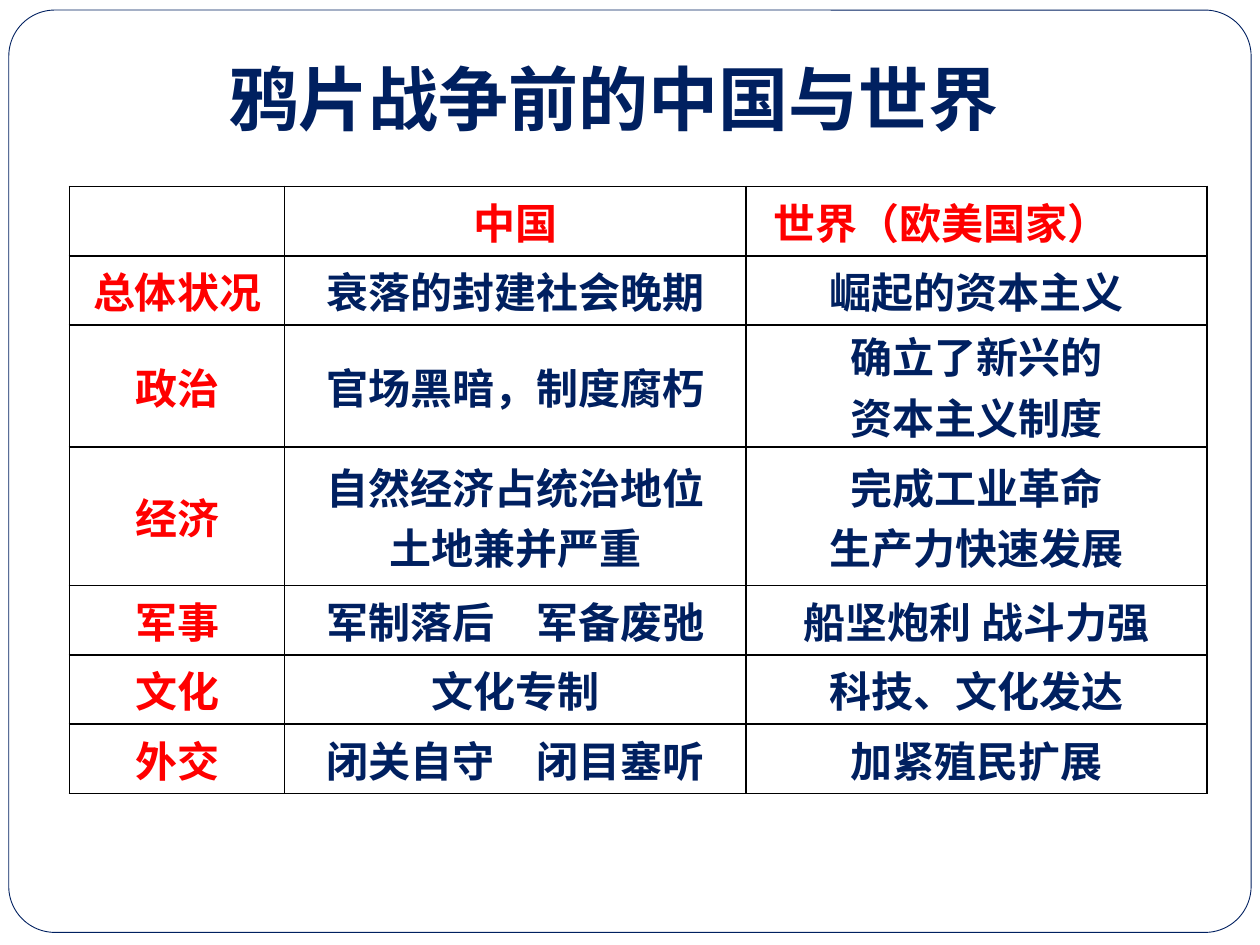
from lxml import etree
from pptx import Presentation
from pptx import util as u
from pptx.dml.color import RGBColor
from pptx.enum import lang, shapes, text
from pptx.oxml.ns import qn

NAVY = RGBColor(0x00, 0x20, 0x60)
RED = RGBColor(0xFF, 0x00, 0x00)
WHITE = RGBColor(0xFF, 0xFF, 0xFF)
BLACK = RGBColor(0x00, 0x00, 0x00)

WIDTH, HEIGHT = 10, 7.5
TITLE = "鸦片战争前的中国与世界"
WORLD_HEADER = "世界（欧美国家）"
COLUMNS = [1.71, 3.66, 3.66]
ROW = 0.55
ROW_SPANS = [1, 1, 1, 2, 1, 1, 1]
COMPARISON = [
    ["", "中国", WORLD_HEADER],
    ["总体状况", "衰落的封建社会晚期", "崛起的资本主义"],
    ["政治", "官场黑暗，制度腐朽", "确立了新兴的\n资本主义制度"],
    ["经济", "自然经济占统治地位\n土地兼并严重", "完成工业革命\n生产力快速发展"],
    ["军事", "军制落后　军备废弛", "船坚炮利 战斗力强"],
    ["文化", "文化专制", "科技、文化发达"],
    ["外交", "闭关自守　闭目塞听", "加紧殖民扩展"],
]


class SlideBuilder:
    latin_font = "Calibri"
    asian_font = "Noto Sans CJK JP"

    def __init__(self, presentation):
        self.presentation = presentation
        self.slide = presentation.slides.add_slide(presentation.slide_layouts[6])

    def box(self, left, top, width, height):
        across, down = self.presentation.slide_width, self.presentation.slide_height
        return [u.Emu(round(share * side)) for share, side in
                zip((left, top, width, height), (across, down, across, down))]

    def add_words(self, paragraph, words, size, color, font):
        paragraph.alignment = text.PP_ALIGN.CENTER
        run = paragraph.add_run()
        run.text = words
        run.font.name = font
        run.font.size = u.Pt(size)
        run.font.bold = True
        run.font.color.rgb = color
        run.font.language_id = lang.MSO_LANGUAGE_ID.SIMPLIFIED_CHINESE
        latin = run.font._element.find(qn("a:latin"))
        asian = etree.Element(qn("a:ea"), typeface=self.asian_font)
        latin.addnext(asian)

    def frame(self, *shares):
        shape = self.slide.shapes.add_shape(
            shapes.MSO_SHAPE.ROUNDED_RECTANGLE, *self.box(*shares))
        shape.adjustments[0] = 0.05
        shape.shadow.inherit = False
        shape.fill.solid()
        shape.fill.fore_color.rgb = WHITE
        shape.line.color.rgb = NAVY
        shape.line.width = u.Pt(0.5)

    def title(self, words, *shares):
        text_frame = self.slide.shapes.add_textbox(*self.box(*shares)).text_frame
        text_frame.word_wrap = True
        paragraph = text_frame.paragraphs[0]
        paragraph.line_spacing = 0.9
        self.add_words(paragraph, words, 40, NAVY, self.asian_font)

    def borders(self, cell):
        properties = cell._tc.get_or_add_tcPr()
        for position, side in enumerate(("lnL", "lnR", "lnT", "lnB")):
            line = etree.Element(qn(f"a:{side}"), w=str(u.Pt(1)))
            fill = etree.SubElement(line, qn("a:solidFill"))
            etree.SubElement(fill, qn("a:srgbClr"), val=str(BLACK))
            properties.insert(position, line)

    def cell(self, cell, words, color):
        cell.fill.background()
        cell.vertical_anchor = text.MSO_ANCHOR.MIDDLE
        cell.margin_left = cell.margin_right = u.Inches(0.07)
        cell.margin_top = cell.margin_bottom = 0
        self.borders(cell)
        for index, line in enumerate(words.split("\n") if words else []):
            text_frame = cell.text_frame
            paragraph = text_frame.add_paragraph() if index else text_frame.paragraphs[0]
            self.add_words(paragraph, line, 24, color, self.latin_font)

    def table(self, rows, *shares):
        table = self.slide.shapes.add_table(
            len(rows), len(COLUMNS), *self.box(*shares)).table
        table.first_row = table.horz_banding = False
        for column, width in zip(table.columns, COLUMNS):
            column.width = u.Inches(width)
        for row, span in zip(table.rows, ROW_SPANS):
            row.height = u.Inches(ROW * span)
        for row_index, row in enumerate(rows):
            for column_index, words in enumerate(row):
                heading = row_index == 0 or column_index == 0
                self.cell(table.cell(row_index, column_index), words,
                          RED if heading else NAVY)
        return table

    def indent_left(self, cell, inches):
        paragraph = cell.text_frame.paragraphs[0]
        paragraph.alignment = text.PP_ALIGN.LEFT
        paragraph._p.get_or_add_pPr().set("marL", str(u.Inches(inches)))


def main():
    presentation = Presentation()
    presentation.slide_width = u.Inches(WIDTH)
    presentation.slide_height = u.Inches(HEIGHT)
    builder = SlideBuilder(presentation)
    builder.frame(0.07 / WIDTH, 0.08 / HEIGHT, 9.86 / WIDTH, 7.32 / HEIGHT)
    table = builder.table(COMPARISON, 0.55 / WIDTH, 1.48 / HEIGHT,
                          sum(COLUMNS) / WIDTH, ROW * sum(ROW_SPANS) / HEIGHT)
    builder.indent_left(table.cell(0, 2), 0.15)
    builder.title(TITLE, 0.62 / WIDTH, 0.47 / HEIGHT, 8.5 / WIDTH, 0.94 / HEIGHT)
    presentation.save("out.pptx")


if __name__ == "__main__":
    main()
